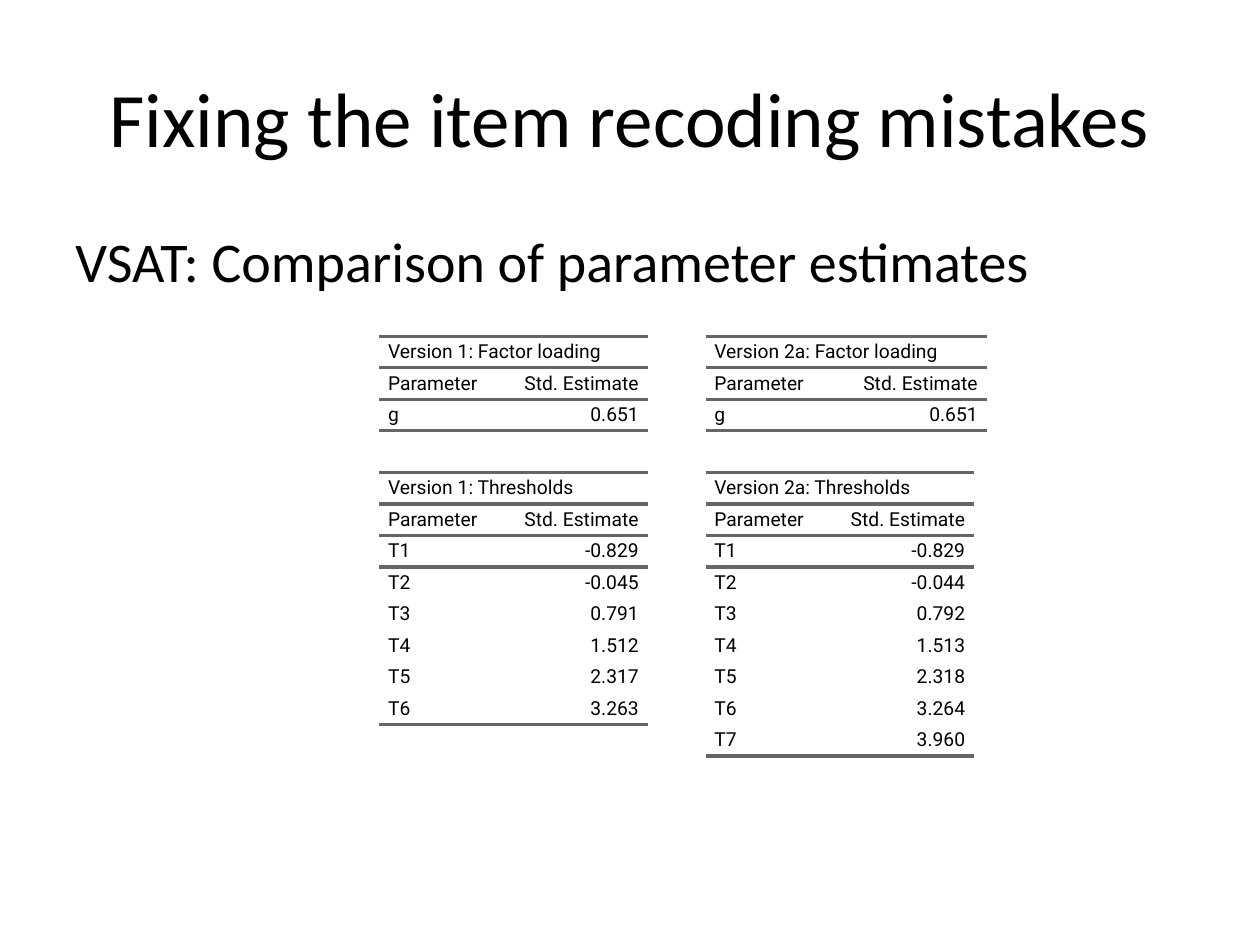
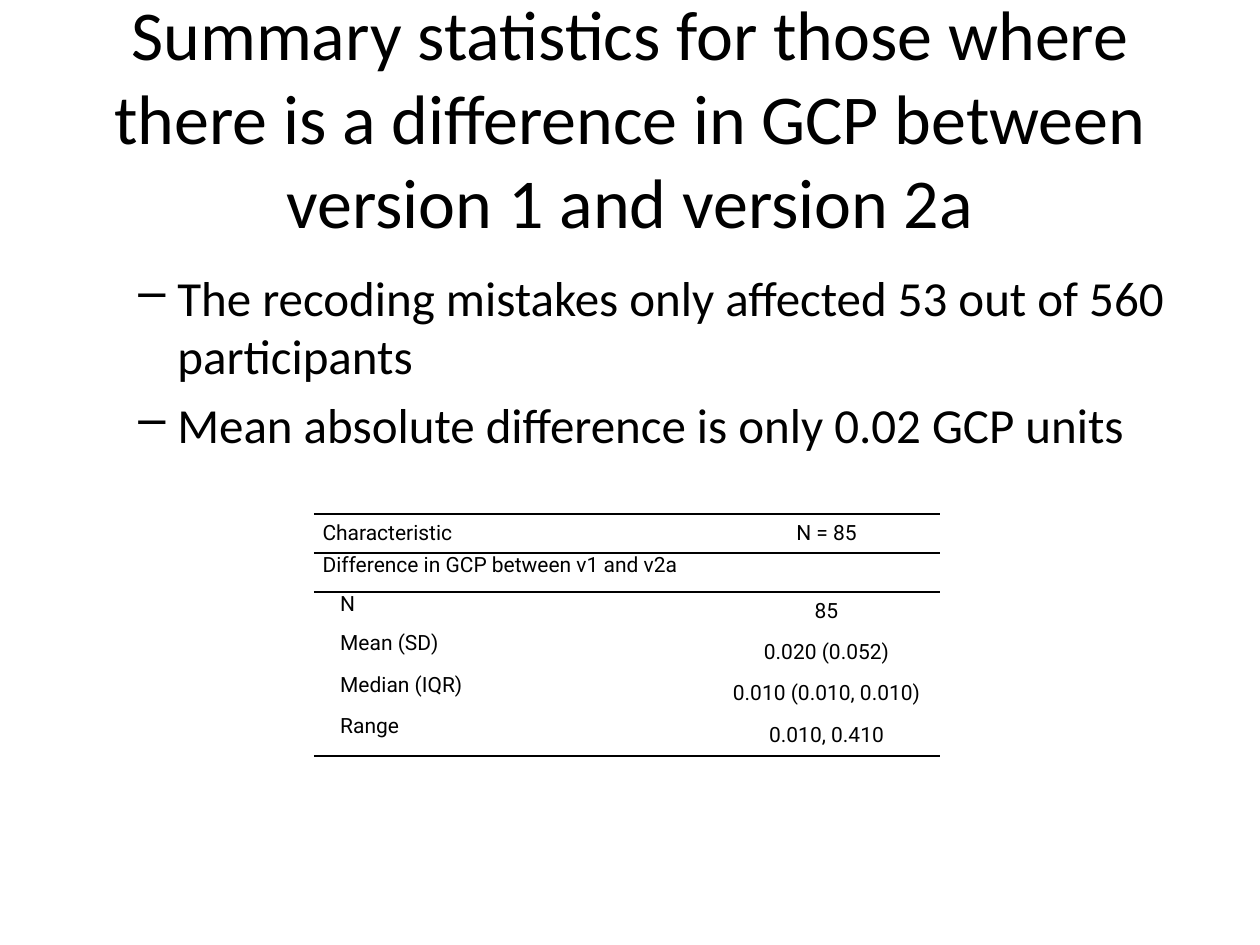
"""Build two slides on the recoding of items and its effect on estimates."""
import pptx
import pptx.util
import pptx.dml.color
import pptx.enum.text
import pptx.oxml
import pptx.oxml.ns

In, Pt = pptx.util.Inches, pptx.util.Pt
ALIGN = {k: getattr(pptx.enum.text.PP_ALIGN, v)
         for k, v in {"l": "LEFT", "c": "CENTER", "r": "RIGHT"}.items()}
ANCHOR = pptx.enum.text.MSO_ANCHOR
COLORS = {"text": "000000", "rule": "666666"}
FONTS = {"main": "Calibri", "table": "Roboto"}
W, H = 10, 7.5
EDGE = 0.05 * W
PAD, INDENT = 0.07, 0.21
NO_STYLE = "{2D5ABB26-0587-4C30-8999-92F81FD0307C}"

HEAD = ("Parameter", "Std. Estimate")
COMPARISON = {
    "title": "Fixing the item recoding mistakes",
    "body": ["VSAT: Comparison of parameter estimates"],
    "columns": [
        {"name": "Version 1", "left": 3.01, "widths": (2.13, 2.13),
         "loading": "0.651",
         "thresholds": ["-0.829", "-0.045", "0.791", "1.512", "2.317", "3.263"]},
        {"name": "Version 2a", "left": 5.6, "widths": (2.23, 2.13),
         "loading": "0.651",
         "thresholds": ["-0.829", "-0.044", "0.792", "1.513", "2.318", "3.264", "3.960"]},
    ],
    "tops": (2.67, 3.75),
    "row": 0.25,
}
SUMMARY = {
    "title": "Summary statistics for those where there is a difference in GCP "
             "between version 1 and version 2a",
    "body": ["The recoding mistakes only affected 53 out of 560 participants",
             "Mean absolute difference is only 0.02 GCP units"],
    "rows": [("Characteristic", "N = 85"),
             ("Difference in GCP between v1 and v2a", ""),
             ("N", "85"),
             ("Mean (SD)", "0.020 (0.052)"),
             ("Median (IQR)", "0.010 (0.010, 0.010)"),
             ("Range", "0.010, 0.410")],
    "widths": (3.17, 1.8),
    "heights": (0.31, 0.31, 0.31, 0.33, 0.33, 0.33),
}


def add_run(p, text, size, font):
    r = p.add_run()
    r.text = text
    r.font.size, r.font.name = Pt(size), font
    r.font.color.rgb = pptx.dml.color.RGBColor.from_string(COLORS["text"])


def add_text(s, top, height, paragraphs, size, align="l", middle=False, dash=False):
    sp = s.shapes.add_textbox(In(EDGE), In(top), In(W - 2 * EDGE), In(height))
    tf = sp.text_frame
    tf.word_wrap = True
    tf.vertical_anchor = ANCHOR.MIDDLE if middle else ANCHOR.TOP
    for i, text in enumerate(paragraphs):
        p = tf.paragraphs[0] if i == 0 else tf.add_paragraph()
        p.alignment = ALIGN[align]
        p.space_before = Pt(0 if middle else 0.2 * size)
        if dash:
            p.level = 1
            pPr = p._p.get_or_add_pPr()
            pPr.set("marL", str(In(0.81)))
            pPr.set("indent", str(In(-0.31)))
            bu = pptx.oxml.parse_xml(f'<a:buChar {pptx.oxml.ns.nsdecls("a")} char="–"/>')
            pPr.append(bu)
        add_run(p, text, size, FONTS["main"])


def add_border(cell, side, color, width):
    cell._tc.get_or_add_tcPr().insert(0, pptx.oxml.parse_xml(
        f'<a:ln{side} {pptx.oxml.ns.nsdecls("a")} w="{Pt(width)}"><a:solidFill>'
        f'<a:srgbClr val="{color}"/></a:solidFill></a:ln{side}>'))


def add_grid(s, left, top, widths, heights, rows, size, aligns, rules, color, weight):
    shape = s.shapes.add_table(len(rows), len(widths), In(left), In(top),
                               In(sum(widths)), In(sum(heights)))
    table = shape.table
    tblPr = table._tbl.tblPr
    tblPr.find(pptx.oxml.ns.qn("a:tableStyleId")).text = NO_STYLE
    table.first_row = table.horz_banding = False
    for column, width in zip(table.columns, widths):
        column.width = In(width)
    for i, row in enumerate(rows):
        table.rows[i].height = In(heights[i])
        for j in range(len(widths)):
            cell = table.cell(i, j)
            cell.margin_left = cell.margin_right = In(PAD)
            cell.margin_top = cell.margin_bottom = 0
            cell.vertical_anchor = ANCHOR.MIDDLE
            cell.fill.background()
            for side, edge in (("B", i + 1), ("T", i)):
                if edge in rules:
                    add_border(cell, side, color, weight)
            if j < len(row) and row[j]:
                p = cell.text_frame.paragraphs[0]
                p.alignment = ALIGN[aligns[j]]
                add_run(p, row[j], size, FONTS["table"])
        if len(row) == 1:
            table.cell(i, 0).merge(table.cell(i, len(widths) - 1))
    return table


def add_slide(prs, content, title_size, body_top, body_size, dash=False):
    s = prs.slides.add_slide(prs.slide_layouts[6])
    add_text(s, 0.04 * H, 1.25, [content["title"]], title_size, "c", middle=True)
    add_text(s, body_top, 0.66 * H, content["body"], body_size, dash=dash)
    return s


prs = pptx.Presentation()
prs.slide_width, prs.slide_height = In(W), In(H)

s = add_slide(prs, COMPARISON, 44, 1.75, 32)
for version in COMPARISON["columns"]:
    thresholds = [(f"T{n}", v) for n, v in enumerate(version["thresholds"], 1)]
    blocks = (("Factor loading", [("g", version["loading"])]), ("Thresholds", thresholds))
    for (label, values), top, width in zip(blocks, COMPARISON["tops"], version["widths"]):
        rows = [(f"{version['name']}: {label}",), HEAD] + values
        add_grid(s, version["left"], top, [width / 2] * 2,
                 [COMPARISON["row"]] * len(rows), rows, 11, "lr",
                 {0, 1, 2, len(rows)}, COLORS["rule"], 2)

s = add_slide(prs, SUMMARY, 40, 2.07, 28, dash=True)
rows = SUMMARY["rows"]
table = add_grid(s, 2.49, 4.08, SUMMARY["widths"], SUMMARY["heights"], rows, 12, "lc",
                 {0, 1, len(rows)}, COLORS["text"], 1)
for i in range(1, len(rows)):
    cell = table.cell(i, 0)
    cell.vertical_anchor = ANCHOR.TOP
    cell.margin_left = In(INDENT if i > 1 else PAD)

prs.save("out.pptx")
